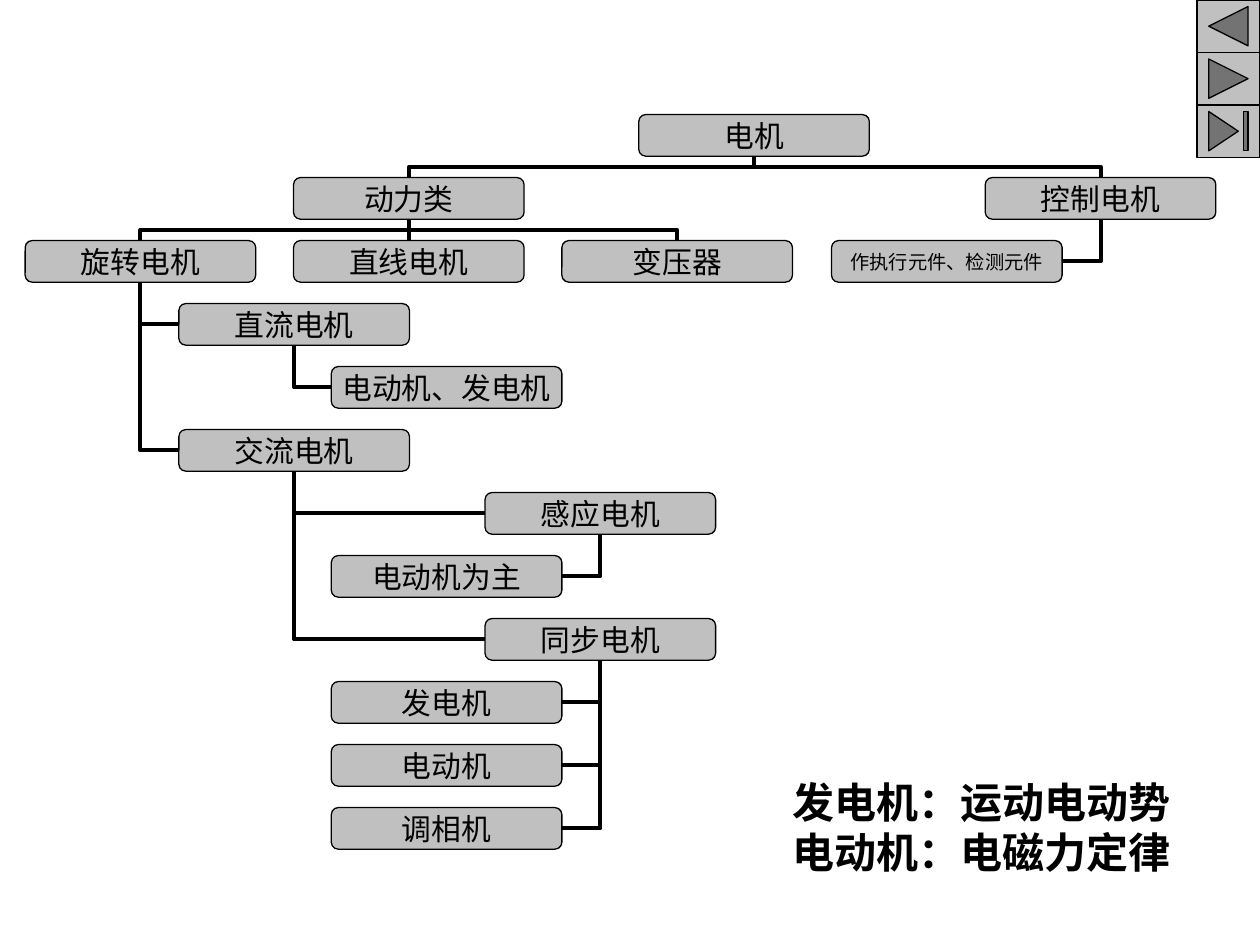
from dataclasses import dataclass

from lxml import etree
from pptx import Presentation
from pptx.dml.color import RGBColor
from pptx.enum.shapes import MSO_CONNECTOR, MSO_SHAPE
from pptx.enum.text import MSO_ANCHOR, MSO_AUTO_SIZE, PP_ALIGN
from pptx.oxml.ns import qn
from pptx.util import Inches, Pt

ROUND = MSO_SHAPE.ROUNDED_RECTANGLE
ELBOW, STRAIGHT = MSO_CONNECTOR.ELBOW, MSO_CONNECTOR.STRAIGHT
CENTER, MIDDLE = PP_ALIGN.CENTER, MSO_ANCHOR.MIDDLE
FIT_SHAPE = MSO_AUTO_SIZE.SHAPE_TO_FIT_TEXT
BACK = MSO_SHAPE.ACTION_BUTTON_BACK_OR_PREVIOUS
NEXT = MSO_SHAPE.ACTION_BUTTON_FORWARD_OR_NEXT
END = MSO_SHAPE.ACTION_BUTTON_END
TOP, LEFT, BOTTOM, RIGHT = range(4)


@dataclass(frozen=True)
class Theme:
    """Colours, font and type sizes of the slide."""
    ink: RGBColor = RGBColor(0, 0, 0)
    fill: RGBColor = RGBColor(0xC0, 0xC0, 0xC0)
    font: str = "Times New Roman"
    node: float = 17
    small: float = 11
    note: float = 24
    outline: float = 0.75
    link: float = 2.25


THEME = Theme()
BOX_W, BOX_H = 1.83, 0.33
FIRST_ROW, ROW_STEP = 0.91, 0.5
BUTTON_W, BUTTON_H = 0.5, 1.25 / 3

# text, left, row, parent, side that joins the parent
NODES = [
    ("电机", 5.07, 0, None, None),
    ("动力类", 2.33, 1, "电机", TOP),
    ("控制电机", 7.82, 1, "电机", TOP),
    ("旋转电机", 0.2, 2, "动力类", TOP),
    ("直线电机", 2.33, 2, "动力类", TOP),
    ("变压器", 4.46, 2, "动力类", TOP),
    ("作执行元件、检测元件", 6.6, 2, "控制电机", RIGHT),
    ("直流电机", 1.42, 3, "旋转电机", LEFT),
    ("电动机、发电机", 2.63, 4, "直流电机", LEFT),
    ("交流电机", 1.42, 5, "旋转电机", LEFT),
    ("感应电机", 3.85, 6, "交流电机", LEFT),
    ("电动机为主", 2.63, 7, "感应电机", RIGHT),
    ("同步电机", 3.85, 8, "交流电机", LEFT),
    ("发电机", 2.63, 9, "同步电机", RIGHT),
    ("电动机", 2.63, 10, "同步电机", RIGHT),
    ("调相机", 2.63, 11, "同步电机", RIGHT),
]


def apply(obj, **values):
    """Set each given attribute on an object."""
    for name, value in values.items():
        setattr(obj, name, value)


def add_run(p, text, size, bold=False):
    """Add a run in the slide font."""
    r = p.add_run()
    r.text = text
    apply(r.font, name=THEME.font, size=Pt(size), bold=bold)
    r.font.color.rgb = THEME.ink


def add_panel(s, kind, left, top, width, height):
    """Add a grey shape with a thin outline."""
    sp = s.shapes.add_shape(kind, *map(Inches, (left, top, width, height)))
    sp.shadow.inherit = False
    sp.fill.solid()
    sp.fill.fore_color.rgb = THEME.fill
    sp.line.color.rgb = THEME.ink
    sp.line.width = Pt(THEME.outline)
    return sp


def add_node(s, text, left, row, size):
    """Add one box of the tree on its row."""
    sp = add_panel(s, ROUND, left, FIRST_ROW + ROW_STEP * row, BOX_W, BOX_H)
    tf = sp.text_frame
    apply(tf, margin_left=0, margin_top=0, margin_right=0, margin_bottom=0,
          word_wrap=False, vertical_anchor=MIDDLE)
    p = tf.paragraphs[0]
    p.alignment = CENTER
    add_run(p, text, size)
    return sp


def turn_upright(cxn, child, parent):
    """Rotate an elbow so that it leaves and arrives vertically."""
    dx = abs(child.left - parent.left)
    dy = child.top - parent.top - parent.height
    mid_x = (child.left + parent.left + child.width) // 2
    mid_y = child.top - dy // 2
    apply(cxn, left=mid_x - dy // 2, top=mid_y - dx // 2, width=dy, height=dx)
    on_right = child.left > parent.left
    xfrm = cxn._element.spPr.find(qn("a:xfrm"))
    xfrm.set("rot", "16200000" if on_right else "5400000")
    xfrm.set("flipH", "0" if on_right else "1")
    xfrm.set("flipV", "1")


def add_link(s, child, parent, side):
    """Join a side of the child box to the bottom of its parent."""
    straight = side == TOP and child.left == parent.left
    cxn = s.shapes.add_connector(STRAIGHT if straight else ELBOW, 0, 0, 0, 0)
    cxn.begin_connect(child, side)
    cxn.end_connect(parent, BOTTOM)
    cxn.line.color.rgb = THEME.ink
    cxn.line.width = Pt(THEME.link)
    sp_pr = cxn._element.spPr
    etree.SubElement(sp_pr, qn("a:effectLst"))
    if side != TOP:
        sp_pr.find(qn("a:prstGeom")).set("prst", "bentConnector2")
    elif not straight:
        turn_upright(cxn, child, parent)
    s.shapes._spTree.insert(2, cxn._element)


def add_tree(s):
    """Add all boxes and the links between them."""
    boxes = {}
    for text, left, row, parent, side in NODES:
        size = THEME.small if len(text) > 8 else THEME.node
        boxes[text] = add_node(s, text, left, row, size)
        if parent:
            add_link(s, boxes[text], boxes[parent], side)


def add_note(s, lines, left, top, width, height):
    """Add the bold lines below the tree."""
    sp = s.shapes.add_textbox(*map(Inches, (left, top, width, height)))
    tf = sp.text_frame
    apply(tf, word_wrap=False, auto_size=FIT_SHAPE)
    for i, line in enumerate(lines):
        p = tf.add_paragraph() if i else tf.paragraphs[0]
        add_run(p, line, THEME.note, bold=True)


def main():
    """Build the slide and save it."""
    prs = Presentation()
    apply(prs, slide_width=Inches(10), slide_height=Inches(7.5))
    s = prs.slides.add_slide(prs.slide_layouts[6])
    for i, kind in enumerate((BACK, NEXT, END)):
        add_panel(s, kind, 10 - BUTTON_W, i * BUTTON_H, BUTTON_W, BUTTON_H)
    add_tree(s)
    add_note(s, ("发电机：运动电动势", "电动机：电磁力定律"), 6.19, 6.11, 3.2, 0.9)
    prs.save("out.pptx")


if __name__ == "__main__":
    main()
